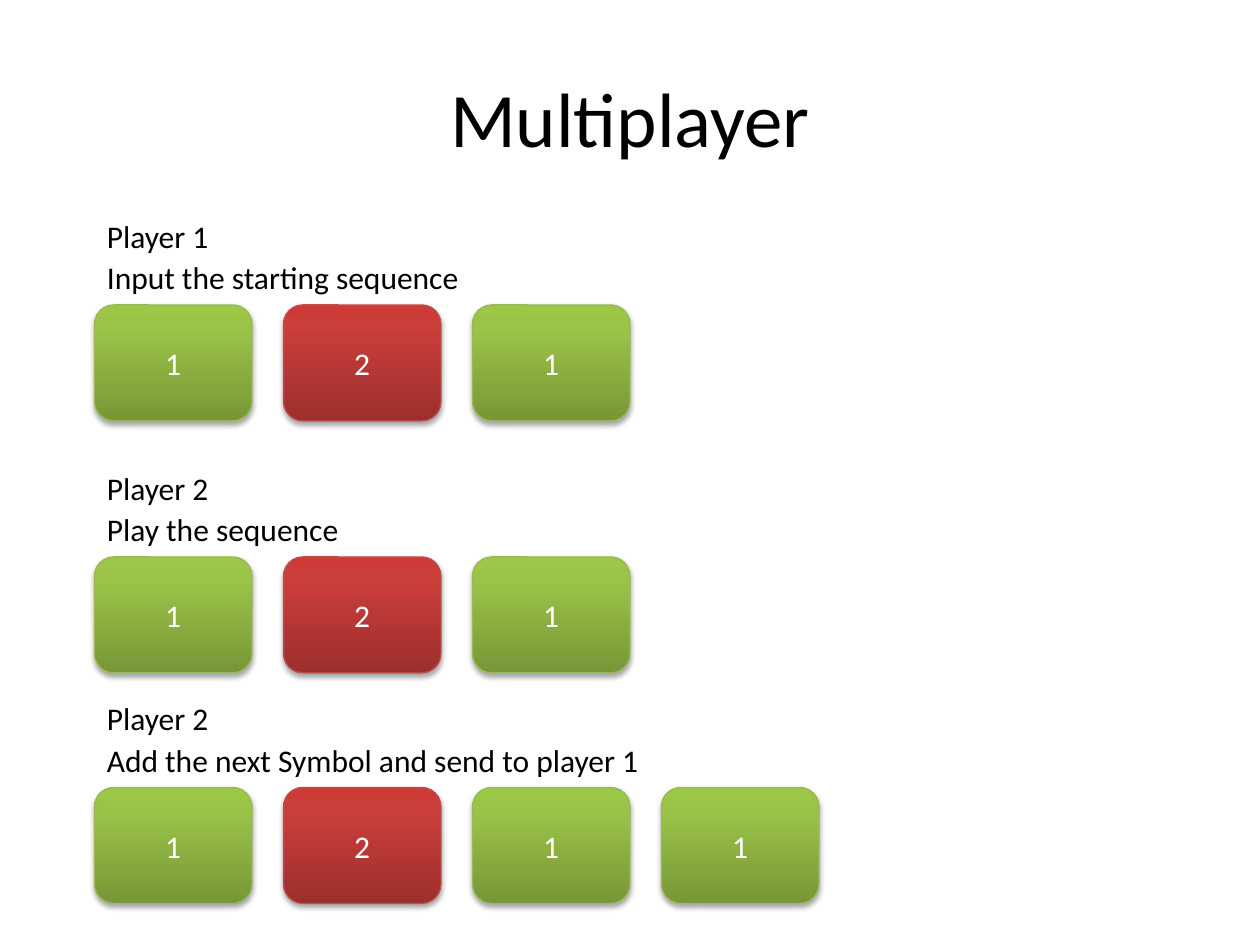
from copy import deepcopy

from lxml.etree import SubElement
from pptx import Presentation
from pptx.dml.color import RGBColor
from pptx.enum.shapes import MSO_SHAPE as Shape
from pptx.enum.text import MSO_ANCHOR as Anchor, MSO_AUTO_SIZE as AutoSize, PP_ALIGN as Align
from pptx.oxml.ns import qn
from pptx.util import Inches, Pt

COLORS = {"text": "000000", "symbol": "FFFFFF", "shadow": "000000"}
TILES = {
    "1": {"line": "98B955", "stops": ((0, "779737"), (0.8, "9BC348"), (1, "9DC746"))},
    "2": {"line": "BF4C48", "stops": ((0, "9C2F2D"), (0.8, "CB3E3A"), (1, "CE3B37"))},
}
TURNS = (
    (1.67, "Player 1", "Input the starting sequence", 3.42, "121"),
    (3.67, "Player 2", "Play the sequence", 3.42, "121"),
    (5.5, "Player 2", "Add the next Symbol and send to player 1", 5.83, "1211"),
)
LEFT, PLAYER_WIDTH, LABEL_HEIGHT = 0.75, 3.25, 0.4
TILE_WIDTH, TILE_HEIGHT, TILE_STEP = 1.25, 0.92, 1.5
ACTION_OFFSET, TILES_OFFSET = 0.33, 0.75


def write(frame, text, size, color, align):
    """Set one formatted paragraph in a text frame."""
    frame.text = text
    paragraph = frame.paragraphs[0]
    paragraph.alignment = align
    font = paragraph.runs[0].font
    font.name = "Calibri"
    font.size = Pt(size)
    font.color.rgb = RGBColor.from_string(COLORS[color])


def add_title(slide, left, top, width, height):
    """Place the slide title in its placeholder."""
    title = slide.shapes.title
    title.left, title.top = Inches(left), Inches(top)
    title.width, title.height = Inches(width), Inches(height)
    title.text_frame.vertical_anchor = Anchor.MIDDLE
    write(title.text_frame, "Multiplayer", 44, "text", Align.CENTER)


def add_label(slide, left, top, width, text):
    """Add a line of text that describes a turn."""
    label = slide.shapes.add_textbox(
        Inches(left), Inches(top), Inches(width), Inches(LABEL_HEIGHT))
    label.text_frame.word_wrap = True
    label.text_frame.auto_size = AutoSize.SHAPE_TO_FIT_TEXT
    write(label.text_frame, text, 18, "text", Align.LEFT)


def fill_gradient(tile, stops):
    """Fill a tile with a three-stop gradient rising from the bottom."""
    tile.fill.gradient()
    tile.fill.gradient_angle = 90
    stop_list = tile._element.spPr.find(qn("a:gradFill")).find(qn("a:gsLst"))
    stop_list.append(deepcopy(stop_list[-1]))
    for stop, (position, color) in zip(tile.fill.gradient_stops, stops):
        stop.position = position
        stop.color.rgb = RGBColor.from_string(color)


def add_shadow(tile):
    """Give a tile a soft shadow straight below it."""
    tile.shadow.inherit = False
    effects = tile._element.spPr.find(qn("a:effectLst"))
    shadow = SubElement(effects, qn("a:outerShdw"), blurRad=str(Pt(3.1)),
                        dist=str(Pt(1.8)), dir="5400000", rotWithShape="0")
    color = SubElement(shadow, qn("a:srgbClr"), val=COLORS["shadow"])
    SubElement(color, qn("a:alpha"), val="35000")


def add_tile(slide, left, top, symbol):
    """Add one symbol of a sequence as a rounded tile."""
    tile = slide.shapes.add_shape(
        Shape.ROUNDED_RECTANGLE, Inches(left), Inches(top),
        Inches(TILE_WIDTH), Inches(TILE_HEIGHT))
    style = TILES[symbol]
    fill_gradient(tile, style["stops"])
    tile.line.color.rgb = RGBColor.from_string(style["line"])
    tile.line.width = Pt(0.75)
    add_shadow(tile)
    tile.text_frame.vertical_anchor = Anchor.MIDDLE
    write(tile.text_frame, symbol, 18, "symbol", Align.CENTER)


def add_turn(slide, left, top, player, action, action_width, sequence):
    """Add a player's turn: two labels above a row of tiles."""
    add_label(slide, left, top, PLAYER_WIDTH, player)
    add_label(slide, left, top + ACTION_OFFSET, action_width, action)
    for index, symbol in enumerate(sequence):
        add_tile(slide, left + index * TILE_STEP, top + TILES_OFFSET, symbol)


def main():
    """Build and save the slide."""
    deck = Presentation()
    deck.slide_width, deck.slide_height = Inches(10), Inches(7.5)
    slide = deck.slides.add_slide(deck.slide_layouts[5])
    add_title(slide, 0.5, 0.3, 9, 1.25)
    for top, *turn in TURNS:
        add_turn(slide, LEFT, top, *turn)
    deck.save("out.pptx")


if __name__ == "__main__":
    main()
